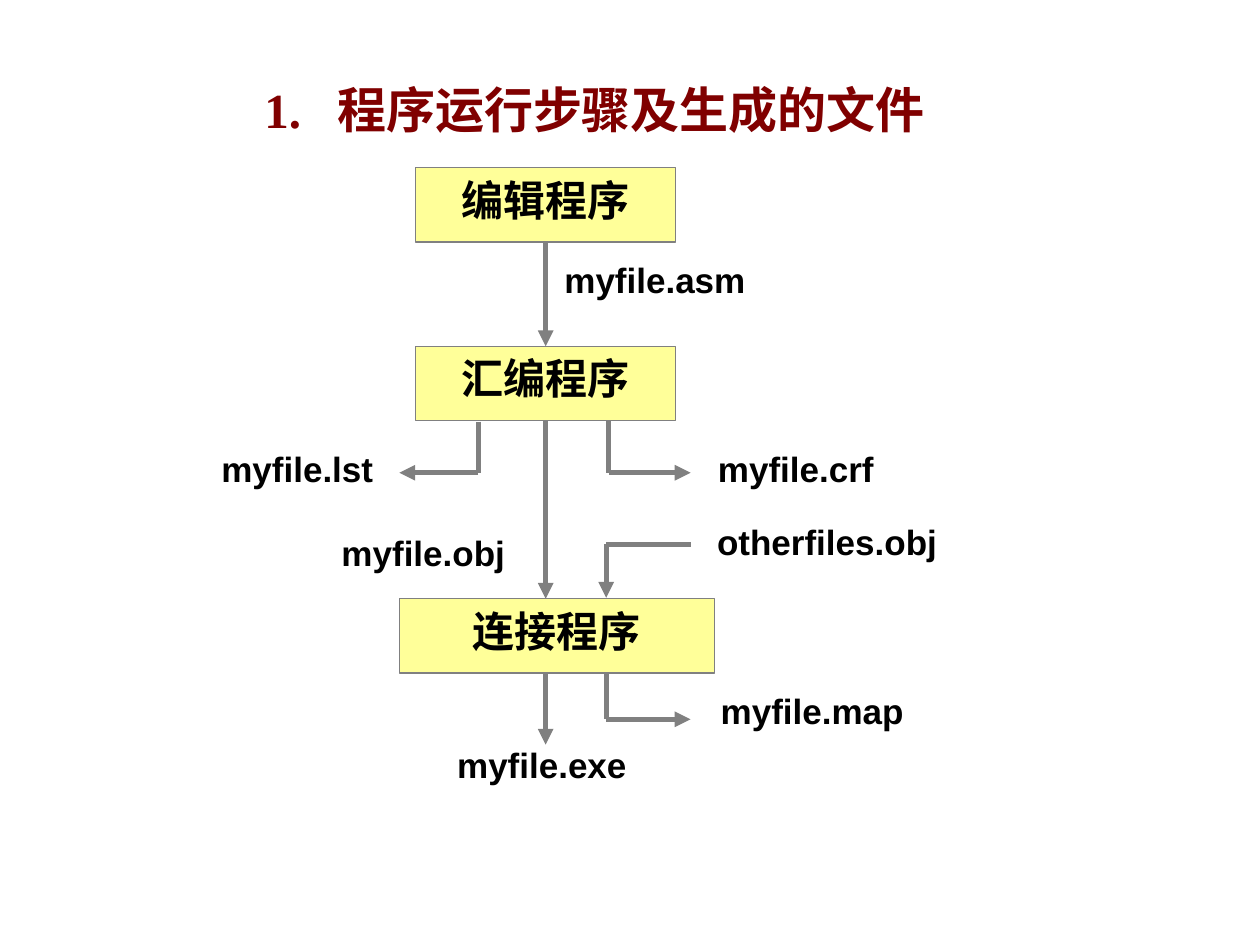
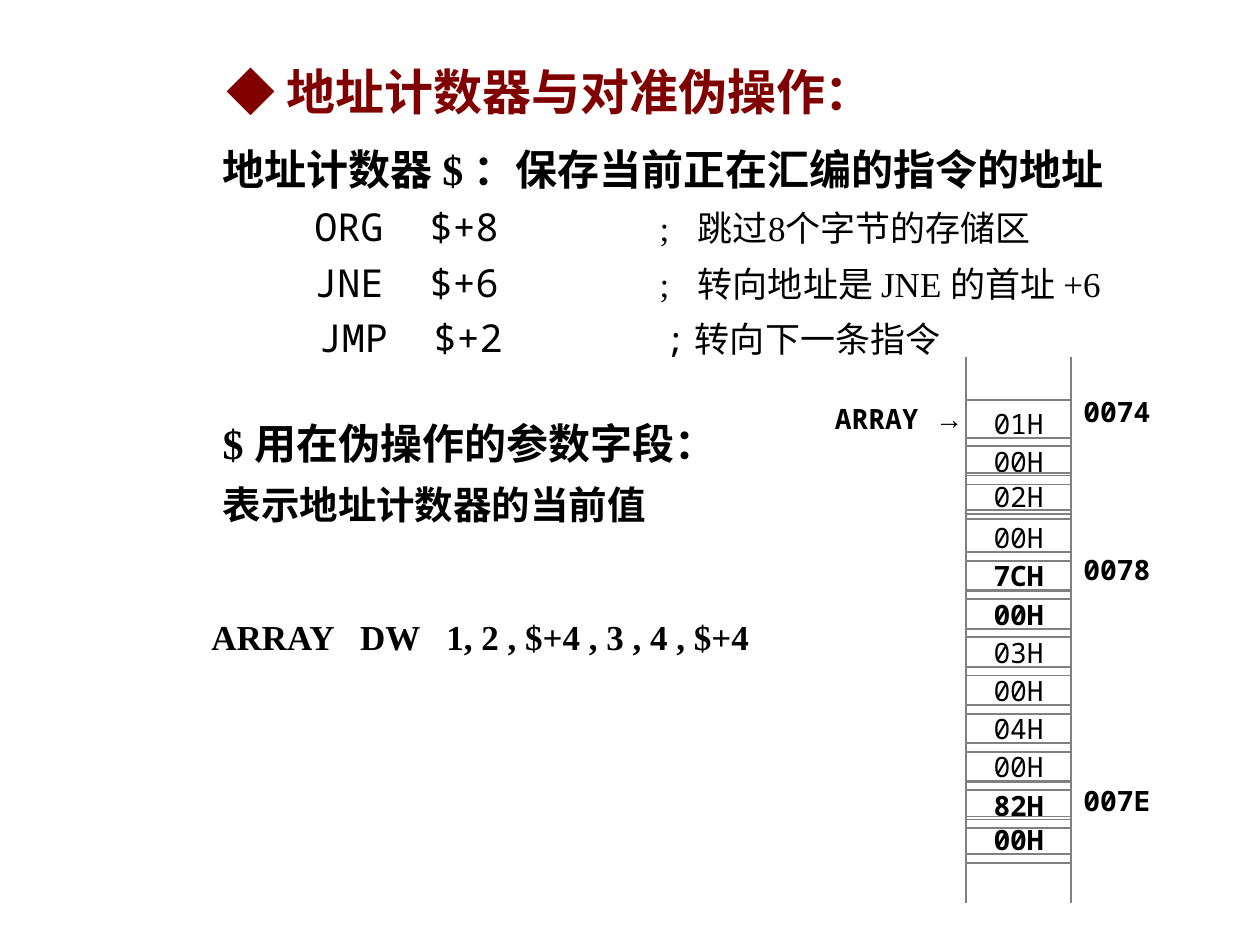
import pptx
import pptx.util
import pptx.dml.color
import pptx.enum.shapes
import pptx.enum.text
import pptx.oxml.ns
import lxml.etree

Cm = pptx.util.Cm
Pt = pptx.util.Pt
ALIGN = pptx.enum.text.PP_ALIGN
ANCHOR = pptx.enum.text.MSO_ANCHOR
RECT = pptx.enum.shapes.MSO_SHAPE.RECTANGLE
STRAIGHT = pptx.enum.shapes.MSO_CONNECTOR.STRAIGHT

RED, BLACK, GREY, YELLOW = "800000", "000000", "808080", "FFFF99"
HAN, ROMAN, SANS, MONO = "Noto Sans CJK SC", "Times New Roman", "Arial", "Noto Sans Mono"


def style(face, size, bold=False):
    return {"name": face, "size": Pt(size), "bold": bold}


HEAD = style(ROMAN, 28, True)
STEP = style(HAN, 24, True)
FILE = style(SANS, 20, True)
LEAD = style(ROMAN, 24, True)
POINT = style(ROMAN, 22, True)
CODE = style(MONO, 22)
NOTE = style(ROMAN, 20)
DATA = style(ROMAN, 20, True)
BYTE = style(MONO, 16)
MARK = style(MONO, 16, True)
ARROW = style(SANS, 16, True)
FRAME = {"word_wrap": True, "auto_size": pptx.enum.text.MSO_AUTO_SIZE.NONE,
         "margin_left": Cm(0.25), "margin_right": Cm(0.25),
         "margin_top": Cm(0.13), "margin_bottom": Cm(0.13)}

# Slide 1: places are left, top, width, height in cm
STEPS = [("编辑程序", (8.38, 3.38, 5.24, 1.5)),
         ("汇编程序", (8.38, 6.98, 5.24, 1.5)),
         ("连接程序", (8.05, 12.07, 6.35, 1.5))]
FILES = [("myfile.asm", (10.59, 5.08, 5.23, 1.45)),
         ("myfile.crf", (13.34, 8.89, 5.41, 1.3)),
         ("otherfiles.obj", (13.54, 10.36, 6.27, 1.45)),
         ("myfile.lst", (3.38, 8.89, 5.23, 1.45)),
         ("myfile.obj", (5.92, 10.59, 5.23, 1.45)),
         ("myfile.map", (13.76, 13.76, 5.23, 1.45)),
         ("myfile.exe", (8.31, 14.86, 5.23, 1.45))]
ROUTES = [[(9.64, 8.5), (9.64, 9.53), (8.05, 9.53)],
          [(12.27, 8.48), (12.27, 9.53), (13.92, 9.53)],
          [(13.92, 10.97), (12.22, 10.97), (12.22, 12.05)],
          [(12.22, 13.57), (12.22, 14.5), (13.92, 14.5)],
          [(11, 13.57), (11, 15.01)]]

# Slide 2: points are text, style and space before; code is its runs and tab stops
POINTS = [("地址计数器 $ ：保存当前正在汇编的指令的地址", LEAD, 0),
          ("$ 用在伪操作的参数字段：", LEAD, 122),
          ("表示地址计数器的当前值", POINT, 2.5)]
STOPS = [1.85, 4.17, 8.81, 9.58]
LINES = [([("\tORG\t$+8\t", CODE), (";\t跳过8个字节的存储区", NOTE)], STOPS),
         ([("\tJNE\t$+6\t", CODE), (";\t转向地址是 JNE 的首址 +6", NOTE)], STOPS),
         ([("\tJMP\t$+2\t", CODE), (";\t转向下一条指令", style(MONO, 20))],
          [1.94, 4.25, 8.91, 9.52])]
BYTES = ["01H", "00H", "02H", "00H", "7CH", "00H",
         "03H", "00H", "04H", "00H", "82H", "00H"]
BOLD = {4, 5, 10, 11}
NUDGE = {2: -0.07, 11: -0.07}
MARKS = [("0074", 7.82), ("0078", 11), ("007E", 15.67)]
LEFT, TOP, WIDTH, PITCH = 19.48, 8.06, 2.11, 0.77
TAILS = [(7.19, 8.15), (17.25, 18.21)]


def apply(thing, values):
    for name, value in values.items():
        setattr(thing, name, value)


def hue(text):
    return pptx.dml.color.RGBColor.from_string(text)


def node(parent, tag, **values):
    return lxml.etree.SubElement(parent, pptx.oxml.ns.qn(tag), values)


def plain(para):
    """Take the bullet and the indent off a body paragraph."""
    props = para._p.get_or_add_pPr()
    props.set("marL", "0")
    props.set("indent", "0")
    node(props, "a:buNone")


def write(para, runs, color=BLACK, stops=(), **layout):
    """Fill a paragraph with styled runs, with tab stops in cm."""
    apply(para, {"space_before": Pt(0), "alignment": ALIGN.LEFT, **layout})
    if stops:
        tabs = node(para._p.get_or_add_pPr(), "a:tabLst")
        for stop in stops:
            node(tabs, "a:tab", pos=str(int(Cm(stop))), algn="l")
    for text, form in runs:
        run = para.add_run()
        run.text = text
        run.font.color.rgb = hue(color)
        apply(run.font, form)
        face = SANS if form["name"] == SANS else HAN
        node(run._r.get_or_add_rPr(), "a:ea", typeface=face)


def place(shape, box, anchor=ANCHOR.TOP):
    """Move a shape to its box in cm and set up its text frame."""
    apply(shape, dict(zip(("left", "top", "width", "height"), map(Cm, box))))
    apply(shape.text_frame, {**FRAME, "vertical_anchor": anchor})
    return shape.text_frame.paragraphs[0]


def label(slide, box, runs, **layout):
    shape = slide.shapes.add_textbox(0, 0, 0, 0)
    write(place(shape, box), runs, **layout)
    return shape.text_frame


def block(shapes, box, runs=(), fill=None, weight=1):
    shape = shapes.add_shape(RECT, 0, 0, 0, 0)
    shape.shadow.inherit = False
    if fill:
        shape.fill.solid()
        shape.fill.fore_color.rgb = hue(fill)
    else:
        shape.fill.background()
    shape.line.color.rgb = hue(GREY)
    shape.line.width = Pt(weight)
    para = place(shape, box)
    if runs:
        write(para, runs, alignment=ALIGN.CENTER)
    return shape


def line(slide, start, end, weight, arrow=False):
    link = slide.shapes.add_connector(STRAIGHT, *map(Cm, (*start, *end)))
    link.line.color.rgb = hue(GREY)
    link.line.width = Pt(weight)
    if arrow:
        node(link.line._get_or_add_ln(), "a:tailEnd", type="triangle")
    node(link._element.spPr, "a:effectLst")
    return link


def start(deck, layout, title, box, stops=()):
    slide = deck.slides.add_slide(deck.slide_layouts[layout])
    write(place(slide.shapes.title, box), [(title, HEAD)], RED, stops)
    return slide


def flow(deck):
    slide = start(deck, 5, "1.\t程序运行步骤及生成的文件", (5.08, 1.47, 15.44, 1.45), [1.47])
    edit, build, _ = [block(slide.shapes, box, [(text, STEP)], YELLOW, 0.75)
                      for text, box in STEPS]
    for text, box in FILES:
        label(slide, box, [(text, FILE)], alignment=ALIGN.CENTER)
    link = line(slide, (11, 4.88), (11, 6.98), 3, True)
    link.begin_connect(edit, 2)
    link.end_connect(build, 0)
    line(slide, (11, 8.48), (11, 12.07), 3, True).begin_connect(build, 2)
    for route in ROUTES:
        for here, there in zip(route, route[1:]):
            line(slide, here, there, 3, there == route[-1])


def memory(deck):
    slide = start(deck, 1, "◆ 地址计数器与对准伪操作：", (4.32, 1.1, 16, 1.45))
    body = slide.placeholders[1]
    para = place(body, (4.24, 2.52, 19.25, 8.28), ANCHOR.MIDDLE)
    for index, (text, form, gap) in enumerate(POINTS):
        if index:
            para = body.text_frame.add_paragraph()
        write(para, [(text, form)], space_before=Pt(gap), line_spacing=1.2)
        plain(para)
    first, *others = LINES
    code = label(slide, (4.24, 3.78, 19.25, 4.4), first[0], stops=first[1], line_spacing=1.2)
    for runs, stops in others:
        write(code.add_paragraph(), runs, stops=stops, line_spacing=1.2)
    label(slide, (4.01, 12.27, 12, 1.12),
          [("ARRAY\tDW\t1, 2 , $+4 , 3 , 4 , $+4", DATA)], stops=[3, 4.74])
    for index, text in enumerate(BYTES):
        top = TOP + PITCH * index + NUDGE.get(index, 0)
        cell = slide.shapes.add_group_shape().shapes
        block(cell, (LEFT, top, WIDTH, 0.76))
        block(cell, (LEFT, top, WIDTH, 0.94), [(text, MARK if index in BOLD else BYTE)])
    for side in (LEFT, LEFT + WIDTH):
        for upper, lower in TAILS:
            line(slide, (side, upper), (side, lower), 1)
    label(slide, (16.58, 7.97, 3.3, 0.94), [("ARRAY ", MARK), ("→", ARROW)])
    for text, top in MARKS:
        label(slide, (LEFT + WIDTH, top, 2.34, 0.94), [(text, MARK)])


def main():
    deck = pptx.Presentation()
    apply(deck, {"slide_width": Cm(25.4), "slide_height": Cm(19.05)})
    flow(deck)
    memory(deck)
    deck.save("out.pptx")


if __name__ == "__main__":
    main()
